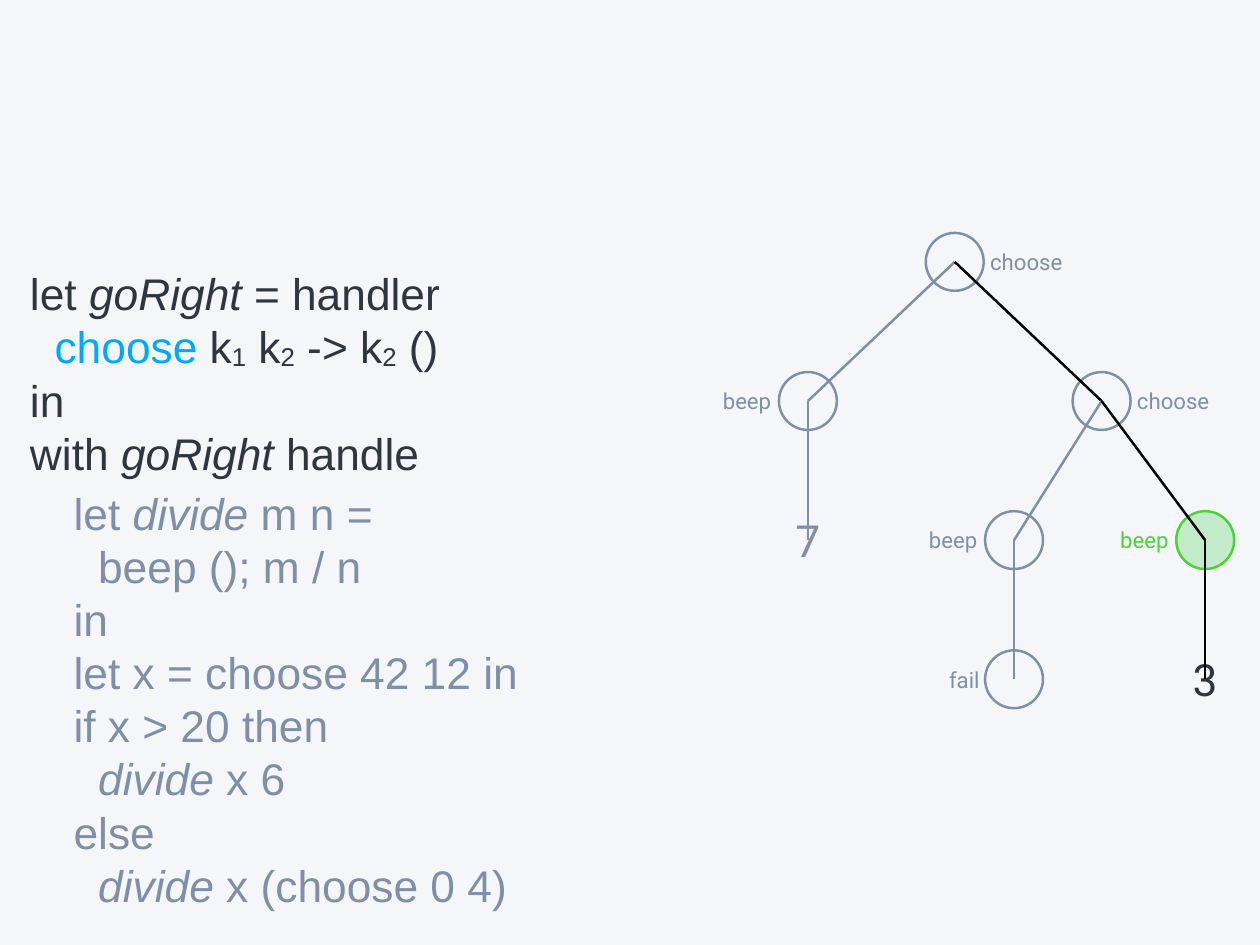
from dataclasses import dataclass
from typing import NamedTuple

from lxml import etree
from pptx import Presentation
from pptx.dml.color import RGBColor
from pptx.enum.shapes import MSO_CONNECTOR, MSO_SHAPE
from pptx.enum.text import MSO_ANCHOR, PP_ALIGN
from pptx.oxml.ns import qn
from pptx.slide import Slide
from pptx.text.text import TextFrame
from pptx.util import Cm, Pt

STRAIGHT = MSO_CONNECTOR.STRAIGHT
OVAL = MSO_SHAPE.OVAL
MIDDLE, BOTTOM = MSO_ANCHOR.MIDDLE, MSO_ANCHOR.BOTTOM
CENTER = PP_ALIGN.CENTER

COLORS = {
    "background": "F5F6FA",
    "muted": "7F8FA6",
    "dark": "2F3640",
    "keyword": "00A8FF",
    "green": "4CD137",
    "pale green": "C3EBC9",
    "path": "000000",
}
DIAMETER = 1.66
ROOT_Y = 7.51
LEVEL_GAP = 3.99
LABEL_HEIGHT = 1.09
LABEL_WIDTHS = {"beep": 1.83, "choose": 2.44, "fail": 1.19}
VALUE_WIDTH, VALUE_HEIGHT = 1.02, 1.93


class Fragment(NamedTuple):
    text: str
    italic: bool = False
    subscript: bool = False
    color: str = ""


@dataclass(frozen=True)
class CodeBlock:
    left: float
    top: float
    width: float
    height: float
    anchor: MSO_ANCHOR
    color: str
    lines: list[list[Fragment]]


@dataclass(frozen=True)
class Node:
    label: str
    x: float
    level: int
    label_on_right: bool = False
    fill: str = "background"
    color: str = "muted"

    @property
    def y(self) -> float:
        return ROOT_Y + self.level * LEVEL_GAP


class Edge(NamedTuple):
    child: Node
    parent: Node
    color: str = "muted"


def plain(text: str) -> list[Fragment]:
    return [Fragment(text)]


DIVIDE = Fragment("divide", italic=True)
GO_RIGHT = Fragment("goRight", italic=True)
ONE, TWO = Fragment("1", subscript=True), Fragment("2", subscript=True)

CODE_BLOCKS = [
    CodeBlock(1.96, 13.72, 15.57, 12.62, MIDDLE, "muted", [
        [Fragment("let "), DIVIDE, Fragment(" m n =")],
        plain("  beep (); m / n"),
        plain("in"),
        plain("let x = choose 42 12 in"),
        plain("if x > 20 then"),
        [Fragment("  "), DIVIDE, Fragment(" x 6")],
        plain("else"),
        [Fragment("  "), DIVIDE, Fragment(" x (choose 0 4)")],
    ]),
    CodeBlock(0.71, 7.49, 14.94, 6.4, BOTTOM, "dark", [
        [Fragment("let "), GO_RIGHT, Fragment(" = handler")],
        [Fragment("  "), Fragment("choose", color="keyword"), Fragment(" k"), ONE,
         Fragment(" k"), TWO, Fragment(" -> k"), TWO, Fragment(" ()")],
        plain("in"),
        [Fragment("with "), GO_RIGHT, Fragment(" handle")],
    ]),
]

ROOT = Node("choose", 27.37, 0, label_on_right=True)
LEFT_BEEP = Node("beep", 23.16, 1)
RIGHT_CHOOSE = Node("choose", 31.58, 1, label_on_right=True)
MIDDLE_BEEP = Node("beep", 29.07, 2)
GREEN_BEEP = Node("beep", 34.55, 2, fill="pale green", color="green")
FAIL = Node("fail", MIDDLE_BEEP.x, 3)
SEVEN = Node("7", LEFT_BEEP.x, 2)
THREE = Node("3", GREEN_BEEP.x, 3, color="dark")

NODES = [ROOT, LEFT_BEEP, RIGHT_CHOOSE, MIDDLE_BEEP, GREEN_BEEP, FAIL]
VALUES = [SEVEN, THREE]
EDGES = [
    Edge(SEVEN, LEFT_BEEP),
    Edge(LEFT_BEEP, ROOT),
    Edge(RIGHT_CHOOSE, ROOT, "path"),
    Edge(MIDDLE_BEEP, RIGHT_CHOOSE),
    Edge(GREEN_BEEP, RIGHT_CHOOSE, "path"),
    Edge(FAIL, MIDDLE_BEEP),
    Edge(THREE, GREEN_BEEP, "path"),
]


def rgb(name: str) -> RGBColor:
    return RGBColor.from_string(COLORS[name])


def add_text_frame(slide: Slide, left: float, top: float, width: float,
                   height: float, anchor: MSO_ANCHOR, wrap: bool) -> TextFrame:
    frame = slide.shapes.add_textbox(Cm(left), Cm(top), Cm(width), Cm(height)).text_frame
    frame.margin_left = frame.margin_right = Cm(0.15)
    frame.margin_top = frame.margin_bottom = Cm(0.15)
    frame.vertical_anchor = anchor
    frame.word_wrap = wrap
    return frame


def draw_code(slide: Slide, block: CodeBlock) -> None:
    frame = add_text_frame(slide, block.left, block.top, block.width, block.height,
                           block.anchor, True)
    for index, line in enumerate(block.lines):
        paragraph = frame.add_paragraph() if index else frame.paragraphs[0]
        paragraph.line_spacing = Pt(43.2)
        paragraph.font.name = "Arial"
        paragraph.font.size = Pt(36)
        paragraph.font.color.rgb = rgb(block.color)
        for fragment in line:
            run = paragraph.add_run()
            run.text = fragment.text
            if fragment.italic:
                run.font.italic = True
            if fragment.color:
                run.font.color.rgb = rgb(fragment.color)
            if fragment.subscript:
                run._r.get_or_add_rPr().set("baseline", "-6000")


def draw_circle(slide: Slide, node: Node) -> None:
    radius = DIAMETER / 2
    circle = slide.shapes.add_shape(OVAL, Cm(node.x - radius), Cm(node.y - radius),
                                    Cm(DIAMETER), Cm(DIAMETER))
    circle.shadow.inherit = False
    circle.fill.solid()
    circle.fill.fore_color.rgb = rgb(node.fill)
    circle.line.color.rgb = rgb(node.color)
    circle.line.width = Pt(2)


def draw_caption(slide: Slide, node: Node, center_x: float, width: float,
                 height: float, size: int) -> None:
    frame = add_text_frame(slide, center_x - width / 2, node.y - height / 2,
                           width, height, MIDDLE, False)
    paragraph = frame.paragraphs[0]
    paragraph.text = node.label
    paragraph.alignment = CENTER
    paragraph.font.name = "Roboto"
    paragraph.font.size = Pt(size)
    paragraph.font.color.rgb = rgb(node.color)


def draw_label(slide: Slide, node: Node) -> None:
    width = LABEL_WIDTHS[node.label]
    offset = (DIAMETER + width) / 2
    center_x = node.x + offset if node.label_on_right else node.x - offset
    draw_caption(slide, node, center_x, width, LABEL_HEIGHT, 18)


def draw_edge(slide: Slide, edge: Edge) -> None:
    line = slide.shapes.add_connector(STRAIGHT, Cm(edge.child.x), Cm(edge.child.y),
                                      Cm(edge.parent.x), Cm(edge.parent.y))
    line.line.color.rgb = rgb(edge.color)
    line.line.width = Pt(2)
    etree.SubElement(line._element.spPr, qn("a:effectLst"))


def main() -> None:
    presentation = Presentation()
    presentation.slide_width, presentation.slide_height = Cm(36.12), Cm(27.1)
    slide = presentation.slides.add_slide(presentation.slide_layouts[6])
    slide.background.fill.solid()
    slide.background.fill.fore_color.rgb = rgb("background")
    for block in CODE_BLOCKS:
        draw_code(slide, block)
    for node in NODES:
        draw_circle(slide, node)
    for value in VALUES:
        draw_caption(slide, value, value.x, VALUE_WIDTH, VALUE_HEIGHT, 36)
    for edge in EDGES:
        draw_edge(slide, edge)
    for node in NODES:
        draw_label(slide, node)
    presentation.save("out.pptx")


if __name__ == "__main__":
    main()
